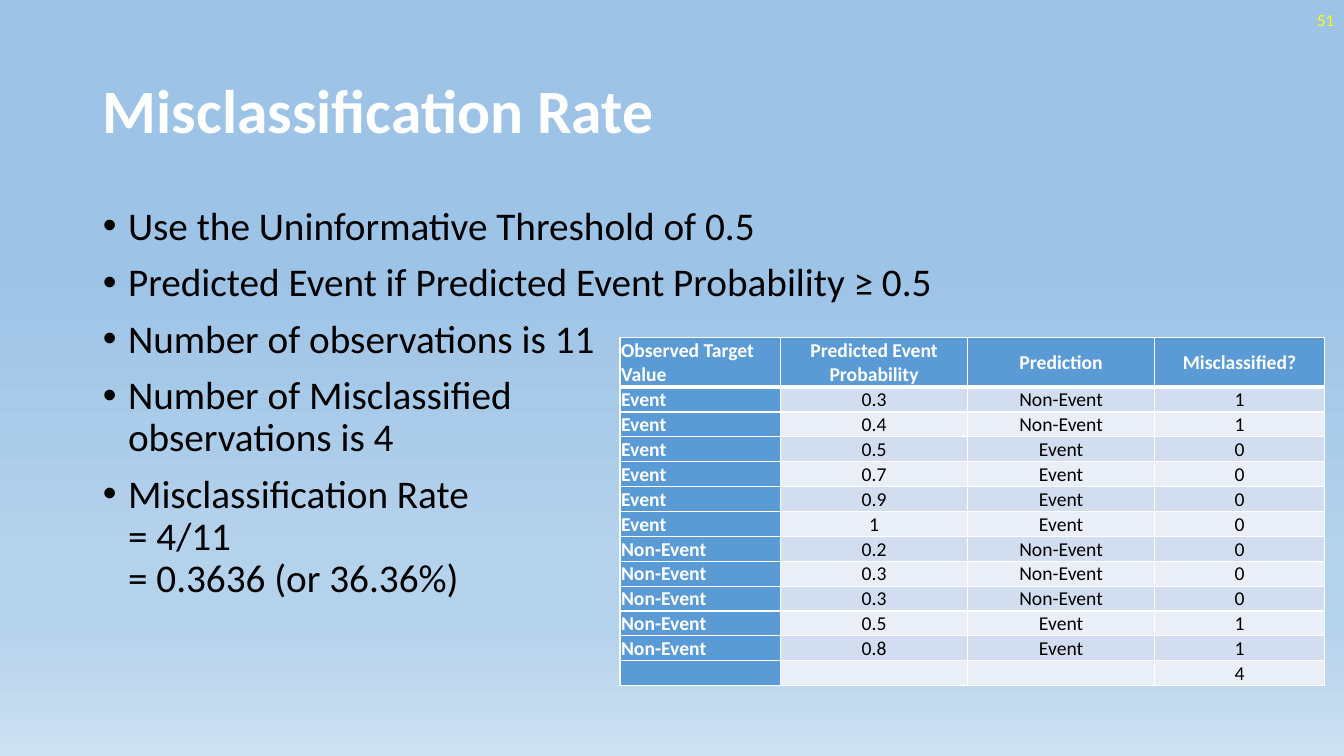
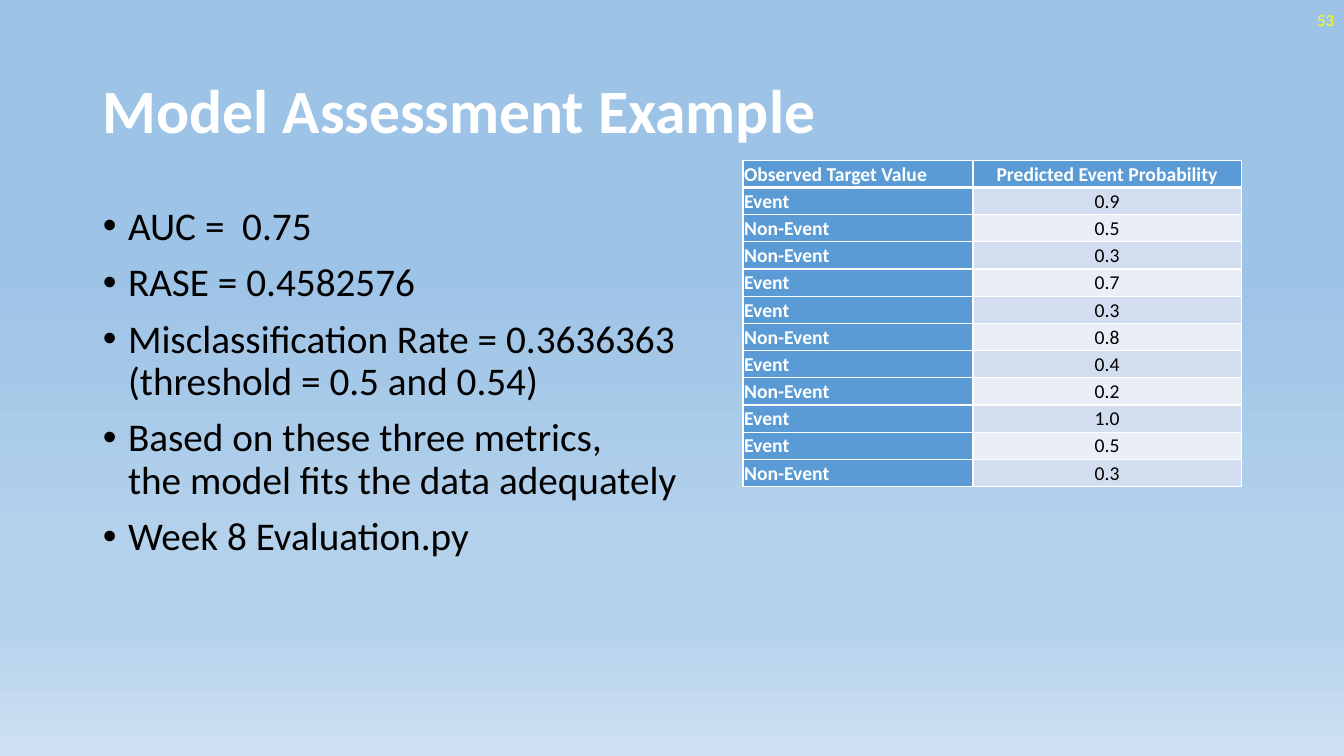
from lxml import etree
from pptx import Presentation
from pptx.dml.color import RGBColor as Rgb
from pptx.enum.text import MSO_ANCHOR as Anchor, MSO_AUTO_SIZE as Fit, PP_ALIGN as Align
from pptx.oxml.ns import qn
from pptx.util import Inches, Pt

# Shared style
FONT = "Calibri"
HUES = {
    "white": "FFFFFF", "black": "000000", "page": "FFFF00",
    "head": "5B9BD5", "odd": "D2DEEF", "even": "EAEFF7",
}
SKY = [(35, "9DC3E6"), (74, "B5D2EC"), (83, "B5D2EC"), (100, "CEE1F2")]
TITLE = (0.92, 0.4, 11.5, 1.45)
BODY = (0.92, 2, 11.5, 4.76)
PAGE = (10.33, 0, 3, 0.4)


def hue(name):
    return Rgb.from_string(HUES[name])


def add_tag(base, tag, **attrs):
    return etree.SubElement(base, qn(tag), attrs)


def paint_sky(master):
    """Give every slide the same vertical gradient."""
    fill = master.background.fill
    fill.gradient()
    fill.gradient_angle = 270
    stops = master.element.find(".//" + qn("a:gsLst"))
    for old in list(stops):
        stops.remove(old)
    for pos, tone in SKY:
        stop = add_tag(stops, "a:gs", pos=str(pos * 1000))
        add_tag(stop, "a:srgbClr", val=tone)


def place(shape, box):
    shape.left, shape.top, shape.width, shape.height = map(Inches, box)


def add_run(para, text, size, tone, bold=False):
    run = para.add_run()
    run.text = text
    font = run.font
    font.name, font.size, font.bold = FONT, Pt(size), bold
    font.color.rgb = hue(tone)


def set_frame(shape, anchor):
    frame = shape.text_frame
    frame.word_wrap = True
    frame.auto_size = Fit.NONE
    frame.vertical_anchor = anchor
    return frame


def add_title(slide, text):
    shape = slide.shapes.title
    place(shape, TITLE)
    para = set_frame(shape, Anchor.MIDDLE).paragraphs[0]
    para.alignment = Align.LEFT
    para.line_spacing = 0.9
    add_run(para, text, 44, "white", True)


def add_list(slide, items):
    shape = slide.placeholders[1]
    place(shape, BODY)
    frame = set_frame(shape, Anchor.TOP)
    for num, item in enumerate(items):
        para = frame.add_paragraph() if num else frame.paragraphs[0]
        props = para._p.get_or_add_pPr()
        props.set("marL", str(Inches(0.25)))
        props.set("indent", str(Inches(-0.25)))
        add_tag(props, "a:buFont", typeface="Arial")
        add_tag(props, "a:buChar", char="•")
        para.line_spacing = 0.9
        para.space_before = Pt(10 if num else 0)
        for row, line in enumerate(item.split("\n")):
            if row:
                para.add_line_break()
            add_run(para, line, 28, "black")


def add_page(slide, num):
    shape = slide.shapes.add_textbox(*map(Inches, PAGE))
    para = set_frame(shape, Anchor.MIDDLE).paragraphs[0]
    para.alignment = Align.RIGHT
    add_run(para, num, 12, "page")


def add_edges(cell, row):
    """Draw white borders, thick under the header row."""
    props = cell._tc.get_or_add_tcPr()
    thick = {0: "a:lnB", 1: "a:lnT"}.get(row)
    for side in ("a:lnL", "a:lnR", "a:lnT", "a:lnB"):
        line = add_tag(props, side, w=str(Pt(3 if side == thick else 1)))
        fill = add_tag(line, "a:solidFill")
        add_tag(fill, "a:srgbClr", val=HUES["white"])


def fill_cell(cell, text, row, col):
    dark = row == 0 or col == 0
    add_edges(cell, row)
    cell.fill.solid()
    cell.fill.fore_color.rgb = hue("head" if dark else "odd" if row % 2 else "even")
    cell.margin_left = cell.margin_right = cell.margin_top = Inches(0.01)
    cell.margin_bottom = 0
    cell.vertical_anchor = Anchor.MIDDLE
    para = cell.text_frame.paragraphs[0]
    para.alignment = Align.CENTER if col else Align.LEFT
    if text:
        add_run(para, text, 14, "white" if dark else "black", dark)
    else:
        add_tag(para._p, "a:endParaRPr", sz="1400")


def add_grid(slide, left, top, cols, tall, rows):
    """tall holds the heights of the header row and of the other rows."""
    high = tall[0] + tall[1] * (len(rows) - 1)
    box = map(Inches, (left, top, sum(cols), high))
    table = slide.shapes.add_table(len(rows), len(cols), *box).table
    for col, wide in zip(table.columns, cols):
        col.width = Inches(wide)
    for r, texts in enumerate(rows):
        table.rows[r].height = Inches(tall[min(r, 1)])
        for c, text in enumerate(texts):
            fill_cell(table.cell(r, c), text, r, c)


# Slide content
RATE = {
    "title": "Misclassification Rate",
    "page": "51",
    "items": [
        "Use the Uninformative Threshold of 0.5",
        "Predicted Event if Predicted Event Probability ≥ 0.5",
        "Number of observations is 11",
        "Number of Misclassified\nobservations is 4",
        "Misclassification Rate\n= 4/11\n= 0.3636 (or 36.36%)",
    ],
    "grid": (6.15, 3.35, (1.59, 1.86, 1.85, 1.69), (0.49, 0.24), [
        ("Observed Target Value", "Predicted Event Probability",
         "Prediction", "Misclassified?"),
        ("Event", "0.3", "Non-Event", "1"),
        ("Event", "0.4", "Non-Event", "1"),
        ("Event", "0.5", "Event", "0"),
        ("Event", "0.7", "Event", "0"),
        ("Event", "0.9", "Event", "0"),
        ("Event", "1", "Event", "0"),
        ("Non-Event", "0.2", "Non-Event", "0"),
        ("Non-Event", "0.3", "Non-Event", "0"),
        ("Non-Event", "0.3", "Non-Event", "0"),
        ("Non-Event", "0.5", "Event", "1"),
        ("Non-Event", "0.8", "Event", "1"),
        ("", "", "", "4"),
    ]),
}
MODEL = {
    "title": "Model Assessment Example",
    "page": "53",
    "items": [
        "AUC =  0.75",
        "RASE = 0.4582576",
        "Misclassification Rate = 0.3636363\n(threshold = 0.5 and 0.54)",
        "Based on these three metrics,\nthe model fits the data adequately",
        "Week 8 Evaluation.py",
    ],
    "grid": (7.37, 1.59, (2.28, 2.66), (0.27, 0.27), [
        ("Observed Target Value", "Predicted Event Probability"),
        ("Event", "0.9"),
        ("Non-Event", "0.5"),
        ("Non-Event", "0.3"),
        ("Event", "0.7"),
        ("Event", "0.3"),
        ("Non-Event", "0.8"),
        ("Event", "0.4"),
        ("Non-Event", "0.2"),
        ("Event", "1.0"),
        ("Event", "0.5"),
        ("Non-Event", "0.3"),
    ]),
}


def main():
    deck = Presentation()
    deck.slide_width, deck.slide_height = Inches(13.33), Inches(7.5)
    paint_sky(deck.slide_master)
    for data in (RATE, MODEL):
        slide = deck.slides.add_slide(deck.slide_layouts[1])
        add_title(slide, data["title"])
        add_list(slide, data["items"])
        add_page(slide, data["page"])
        add_grid(slide, *data["grid"])
    deck.save("out.pptx")


if __name__ == "__main__":
    main()
